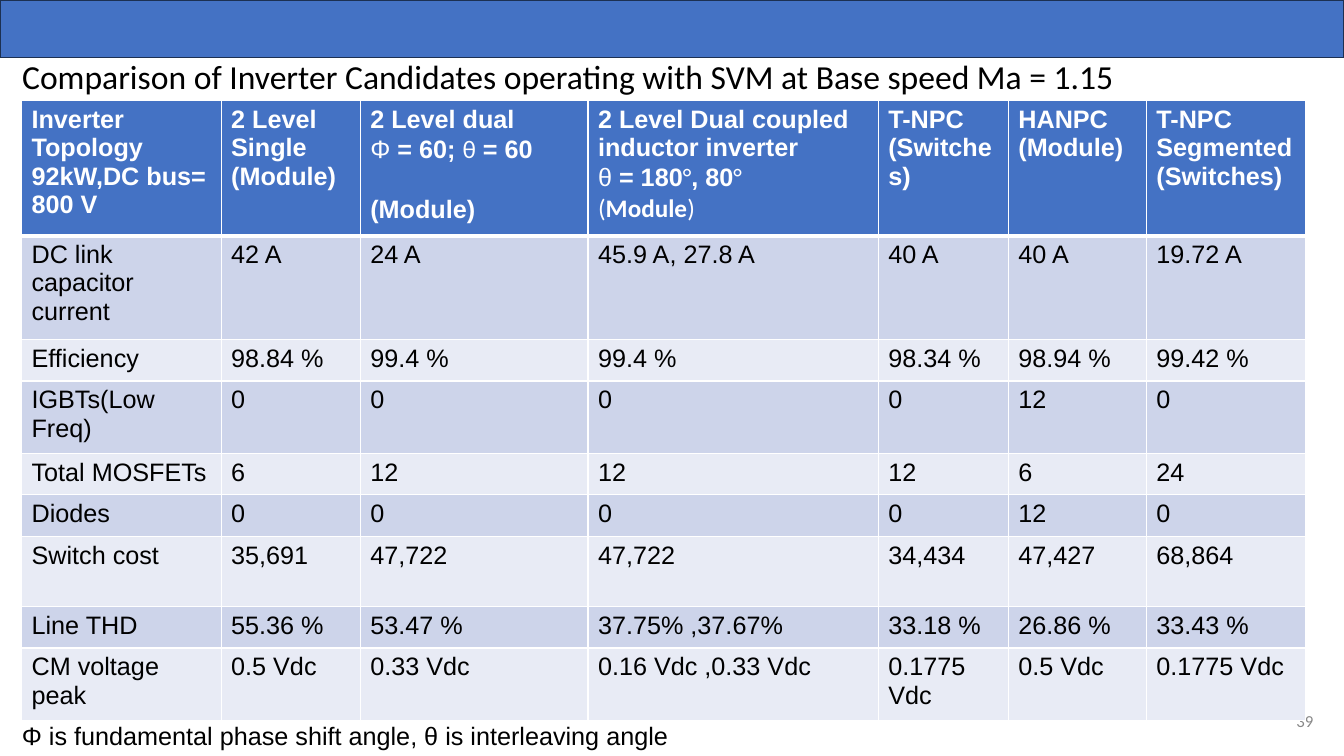
from dataclasses import dataclass

from lxml import etree
from pptx import Presentation
from pptx.dml.color import RGBColor
from pptx.enum.shapes import MSO_SHAPE
from pptx.enum.text import MSO_ANCHOR, MSO_AUTO_SIZE, PP_ALIGN
from pptx.oxml.ns import qn
from pptx.util import Pt

RECTANGLE = MSO_SHAPE.RECTANGLE
TOP, MIDDLE = MSO_ANCHOR.TOP, MSO_ANCHOR.MIDDLE
LEFT, RIGHT = PP_ALIGN.LEFT, PP_ALIGN.RIGHT
NO_AUTOFIT = MSO_AUTO_SIZE.NONE

COLORS = {
    "blue": "4472C4",
    "band_edge": "1C3052",
    "odd_row": "CDD4EA",
    "even_row": "E8EBF5",
    "white": "FFFFFF",
    "black": "000000",
    "gray": "888888",
}


@dataclass(frozen=True)
class Span:
    text: str
    bold: bool = True
    font: str = "Arial"


@dataclass(frozen=True)
class Line:
    spans: tuple[Span, ...]
    space_before: float = 0


def bold_line(text: str, space_before: float = 0) -> Line:
    return Line((Span(text),), space_before)


# Table content
HEADERS = [
    [bold_line("Inverter Topology"), bold_line("92kW,DC bus= 800 V")],
    [bold_line("2 Level Single"), bold_line("(Module)")],
    [
        bold_line("2 Level dual"),
        Line((Span("Φ", False), Span(" = 60; "), Span("θ", False, "Calibri"), Span(" = 60"))),
        bold_line("(Module)", 22),
    ],
    [
        bold_line("2 Level Dual coupled inductor inverter"),
        Line((Span("θ", False), Span(" = 180"), Span("°", False, "Calibri"),
              Span(", 80"), Span("°", False, "Calibri"))),
        Line((Span("(", False, "Calibri"), Span("Module", True, "Calibri"),
              Span(")", False, "Calibri"))),
    ],
    [bold_line("T-NPC"), bold_line("(Switches)")],
    [bold_line("HANPC"), bold_line("(Module)")],
    [bold_line("T-NPC Segmented"), bold_line("(Switches)")],
]
MEASURES = [
    ["DC link capacitor current", "42 A", "24 A", "45.9 A, 27.8 A", "40 A", "40 A", "19.72 A"],
    ["Efficiency", "98.84 %", "99.4 %", "99.4 %", "98.34 %", "98.94 %", "99.42 %"],
    ["IGBTs(Low Freq)", "0", "0", "0", "0", "12", "0"],
    ["Total MOSFETs", "6", "12", "12", "12", "6", "24"],
    ["Diodes", "0", "0", "0", "0", "12", "0"],
    ["Switch cost", "35,691", "47,722", "47,722", "34,434", "47,427", "68,864"],
    ["Line THD", "55.36 %", "53.47 %", "37.75% ,37.67%", "33.18 %", "26.86 %", "33.43 %"],
    ["CM voltage peak", "0.5 Vdc", "0.33 Vdc", "0.16 Vdc ,0.33 Vdc", "0.1775 Vdc", "0.5 Vdc",
     "0.1775 Vdc"],
]
COLUMN_WIDTHS = [142.56, 99.36, 162.72, 207.36, 92.88, 98.64, 113.76]
ROW_HEIGHTS = [96.48, 74.16, 29.52, 51.84, 29.52, 29.52, 50.4, 29.52, 51.84]


def rgb(name: str) -> RGBColor:
    return RGBColor.from_string(COLORS[name])


def write(paragraph, text: str, *, size: float = 18, font: str = "Arial",
          color: str = "black", bold: bool = False, align=LEFT) -> None:
    paragraph.alignment = align
    run = paragraph.add_run()
    run.text = text
    run.font.size = Pt(size)
    run.font.name = font
    run.font.bold = bold
    run.font.color.rgb = rgb(color)


def place(shape, left: float, top: float, width: float, height: float, anchor=TOP):
    """Position a text shape and return its first paragraph."""
    shape.left, shape.top, shape.width, shape.height = map(Pt, (left, top, width, height))
    frame = shape.text_frame
    frame.word_wrap = True
    frame.auto_size = NO_AUTOFIT
    frame.vertical_anchor = anchor
    return frame.paragraphs[0]


def add_box(slide, left: float, top: float, width: float, height: float, anchor=TOP):
    box = slide.shapes.add_textbox(0, 0, 0, 0)
    return place(box, left, top, width, height, anchor)


def format_cell(cell, fill: str, top_border: float, bottom_border: float) -> None:
    properties = cell._tc.get_or_add_tcPr()
    borders = {"a:lnL": 1, "a:lnR": 1, "a:lnT": top_border, "a:lnB": bottom_border}
    for side, width in borders.items():
        border = etree.SubElement(properties, qn(side), w=str(Pt(width)))
        solid = etree.SubElement(border, qn("a:solidFill"))
        etree.SubElement(solid, qn("a:srgbClr"), val=COLORS["white"])
    cell.fill.solid()
    cell.fill.fore_color.rgb = rgb(fill)


def add_comparison(slide) -> None:
    table = slide.shapes.add_table(
        len(ROW_HEIGHTS), len(COLUMN_WIDTHS), Pt(15.4), Pt(72),
        Pt(sum(COLUMN_WIDTHS)), Pt(sum(ROW_HEIGHTS))).table
    for column, width in zip(table.columns, COLUMN_WIDTHS):
        column.width = Pt(width)
    for row, height in zip(table.rows, ROW_HEIGHTS):
        row.height = Pt(height)

    # Header row
    for column, lines in enumerate(HEADERS):
        cell = table.cell(0, column)
        format_cell(cell, "blue", 1, 3)
        for index, line in enumerate(lines):
            frame = cell.text_frame
            paragraph = frame.add_paragraph() if index else frame.paragraphs[0]
            if line.space_before:
                paragraph.space_before = Pt(line.space_before)
            for span in line.spans:
                write(paragraph, span.text, font=span.font, bold=span.bold, color="white")

    # Measured values
    for row, values in enumerate(MEASURES, start=1):
        for column, value in enumerate(values):
            cell = table.cell(row, column)
            format_cell(cell, "odd_row" if row % 2 else "even_row", 3 if row == 1 else 1, 1)
            write(cell.text_frame.paragraphs[0], value)


def main() -> None:
    deck = Presentation()
    deck.slide_width, deck.slide_height = Pt(960), Pt(540)
    slide = deck.slides.add_slide(deck.slide_layouts[5])

    # Top band
    band = slide.shapes.add_shape(RECTANGLE, 0, 0, Pt(960), Pt(41))
    band.shadow.inherit = False
    band.fill.solid()
    band.fill.fore_color.rgb = rgb("blue")
    band.line.color.rgb = rgb("band_edge")
    band.line.width = Pt(1)

    # Page number, behind the table
    page_number = add_box(slide, 732, 500.5, 216, 28.75, MIDDLE)
    write(page_number, "39 ", size=12, font="Calibri", color="gray", align=RIGHT)

    add_comparison(slide)

    # Title and footnote
    title = place(slide.shapes.title, 8.6, 36, 906, 36)
    write(title, "Comparison of Inverter Candidates operating with SVM at Base speed Ma = 1.15",
          size=24, font="Calibri")
    footnote = add_box(slide, 8.6, 511, 484.5, 29)
    write(footnote, "Φ is fundamental phase shift angle, θ is interleaving angle")

    deck.save("out.pptx")


if __name__ == "__main__":
    main()
